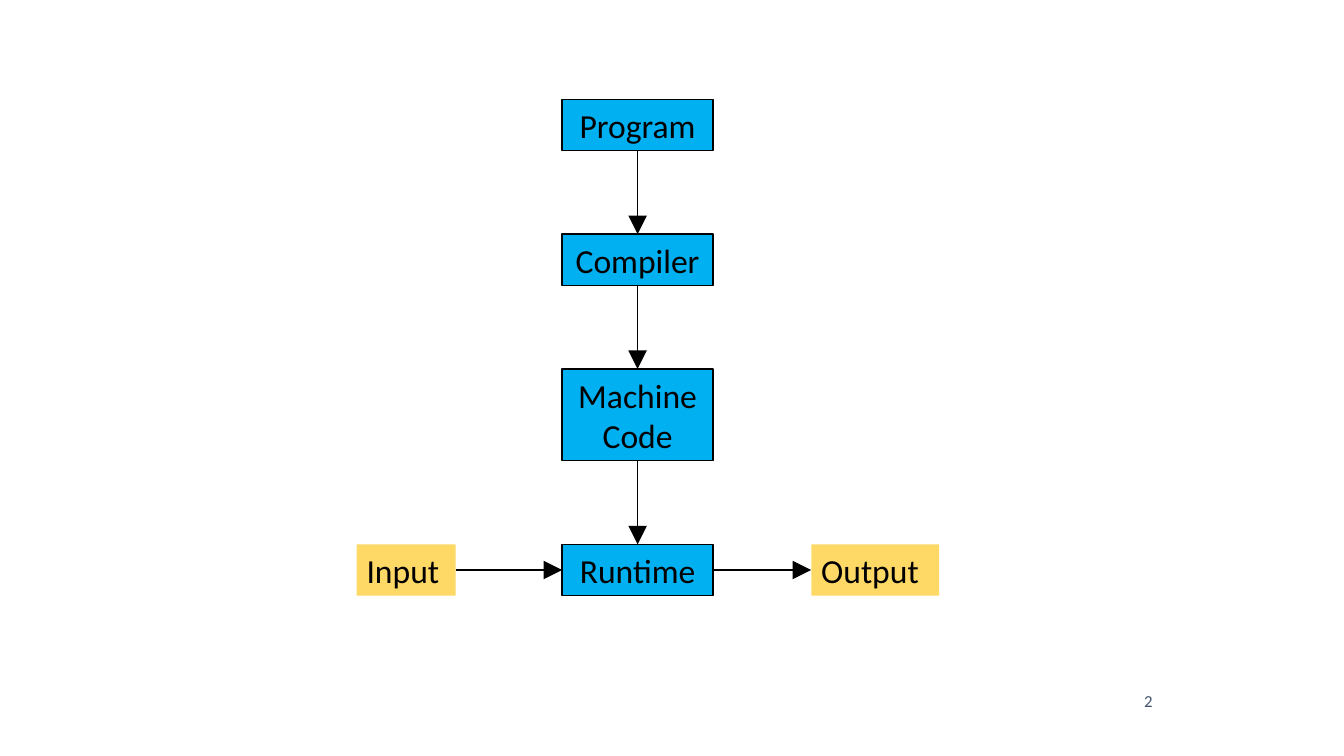
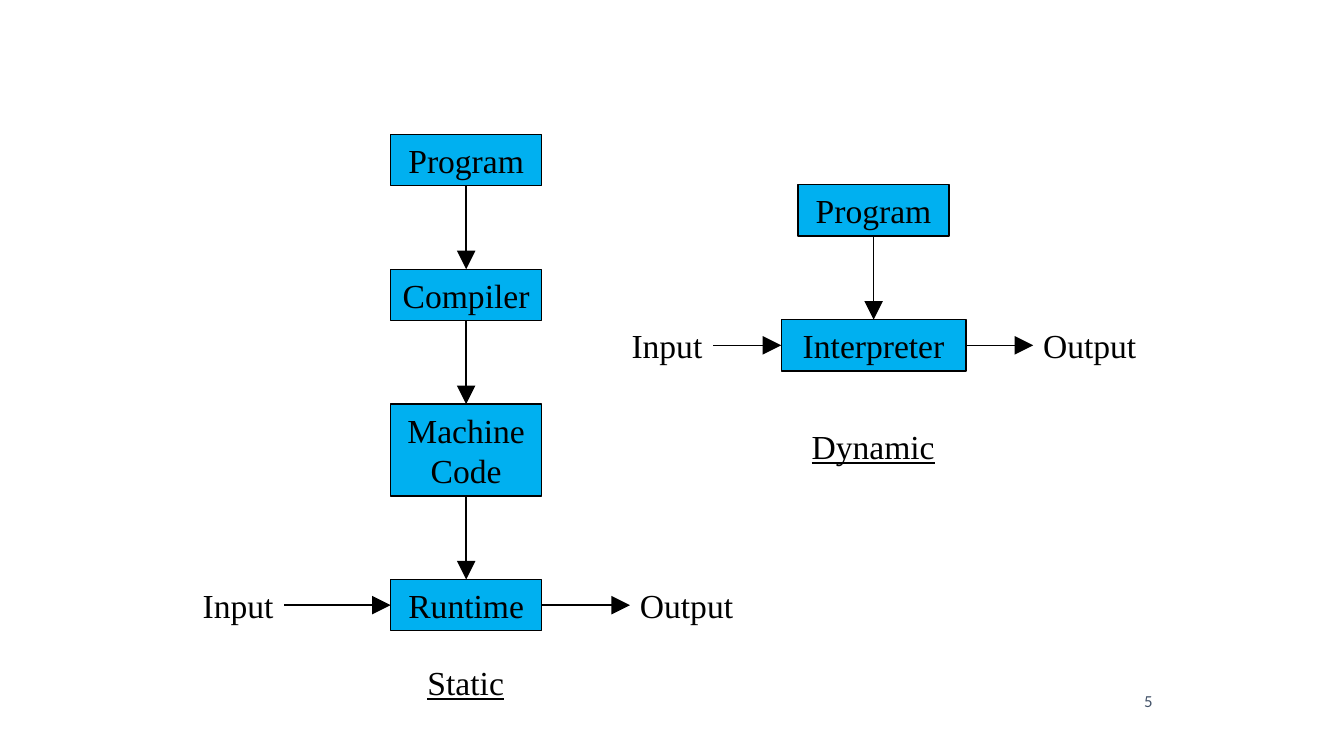
from lxml.etree import SubElement
from pptx import Presentation
from pptx.dml.color import RGBColor
from pptx.enum.shapes import MSO_CONNECTOR, MSO_SHAPE
from pptx.enum.text import MSO_ANCHOR, PP_ALIGN
from pptx.oxml.ns import qn
from pptx.util import Pt

COLORS = {
    "step": "00B0F0",
    "data": "FFD966",
    "ink": "000000",
    "number": "44546A",
}
SANS, SERIF = "Calibri", "Times New Roman"
TOP, LEFT, BOTTOM, RIGHT = range(4)
STEP_WIDTH, ROW_HEIGHT, TALL_HEIGHT, STEP_GAP = 81, 27.5, 49.2, 44.75


def color(name):
    return RGBColor.from_string(COLORS[name])


def write_text(shape, text, font, size=18, ink="ink", align=PP_ALIGN.LEFT,
               anchor=MSO_ANCHOR.MIDDLE, underline=None, wrap=True):
    frame = shape.text_frame
    frame.word_wrap = wrap
    frame.vertical_anchor = anchor
    frame.margin_left = frame.margin_right = Pt(5.3)
    frame.margin_top = frame.margin_bottom = Pt(2.7)
    para = frame.paragraphs[0]
    para.alignment = align
    span = para.add_run()
    span.text = text
    span.font.name = font
    span.font.size = Pt(size)
    span.font.underline = underline
    span.font.color.rgb = color(ink)


def add_box(page, left, top, width, height, fill=None, outline=False):
    """Add a filled rectangle, or a plain text box when there is no fill."""
    area = [Pt(length) for length in (left, top, width, height)]
    if fill is None:
        return page.shapes.add_textbox(*area)
    box = page.shapes.add_shape(MSO_SHAPE.RECTANGLE, *area)
    box.shadow.inherit = False
    box.fill.solid()
    box.fill.fore_color.rgb = color(fill)
    if outline:
        box.line.color.rgb = color("ink")
        box.line.width = Pt(0.75)
    else:
        box.line.fill.background()
    return box


def add_arrow(page, source, source_side, target, target_side):
    arrow = page.shapes.add_connector(MSO_CONNECTOR.STRAIGHT, 0, 0, 0, 0)
    arrow.begin_connect(source, source_side)
    arrow.end_connect(target, target_side)
    arrow.line.color.rgb = color("ink")
    arrow.line.width = Pt(0.75)
    SubElement(arrow.line._get_or_add_ln(), qn("a:tailEnd"),
               type="triangle", w="lg", len="lg")
    SubElement(arrow._element.spPr, qn("a:effectLst"))


def add_chain(page, center, top, steps, font):
    """Stack (text, width, height) steps joined by arrows; return the last one."""
    previous = None
    for text, width, height in steps:
        box = add_box(page, center - width / 2, top, width, height,
                      fill="step", outline=True)
        write_text(box, text, font, align=PP_ALIGN.CENTER)
        if previous is not None:
            add_arrow(page, previous, BOTTOM, box, TOP)
        previous = box
        top += height + STEP_GAP
    return previous


def add_input_output(page, runner, font, widths, gaps, fill=None):
    """Put the input and output labels on either side of the running step."""
    left, top = runner.left.pt, runner.top.pt
    source = add_box(page, left - gaps[0] - widths[0], top,
                     widths[0], ROW_HEIGHT, fill)
    target = add_box(page, left + runner.width.pt + gaps[1], top,
                     widths[1], ROW_HEIGHT, fill)
    write_text(source, "Input", font, wrap=False)
    write_text(target, "Output", font, wrap=False)
    add_arrow(page, source, RIGHT, runner, LEFT)
    add_arrow(page, runner, RIGHT, target, LEFT)


def add_caption(page, runner, text, width, gap):
    left = runner.left.pt + (runner.width.pt - width) / 2
    top = runner.top.pt + runner.height.pt + gap
    box = add_box(page, left, top, width, ROW_HEIGHT)
    write_text(box, text, SERIF, underline=True, wrap=False)


def add_page(deck, number):
    page = deck.slides.add_slide(deck.slide_layouts[6])
    box = add_box(page, 590.4, 367.2, 32.4, 31)
    write_text(box, number, SANS, size=9, ink="number",
               align=PP_ALIGN.RIGHT, anchor=MSO_ANCHOR.TOP)
    return page


COMPILED_STEPS = [
    ("Program", STEP_WIDTH, ROW_HEIGHT),
    ("Compiler", STEP_WIDTH, ROW_HEIGHT),
    ("Machine Code", STEP_WIDTH, TALL_HEIGHT),
    ("Runtime", STEP_WIDTH, ROW_HEIGHT),
]
INTERPRETED_STEPS = [
    ("Program", STEP_WIDTH, ROW_HEIGHT),
    ("Interpreter", 99, ROW_HEIGHT),
]


def build_compiler_page(deck):
    page = add_page(deck, "2")
    runtime = add_chain(page, 341.6, 53.2, COMPILED_STEPS, SANS)
    add_input_output(page, runtime, SANS, (53, 68.5), (57, 52.5), fill="data")


def build_comparison_page(deck):
    page = add_page(deck, "5")
    runtime = add_chain(page, 249.75, 72, COMPILED_STEPS, SERIF)
    add_input_output(page, runtime, SERIF, (49, 61.2), (57, 47.25))
    add_caption(page, runtime, "Static", 52, 13.5)

    interpreter = add_chain(page, 468, 99, INTERPRETED_STEPS, SERIF)
    add_input_output(page, interpreter, SERIF, (49, 61.2), (36.5, 36))
    add_caption(page, interpreter, "Dynamic", 77, 26.5)


def main():
    deck = Presentation()
    deck.slide_width, deck.slide_height = Pt(720), Pt(405)
    build_compiler_page(deck)
    build_comparison_page(deck)
    deck.save("out.pptx")


if __name__ == "__main__":
    main()
